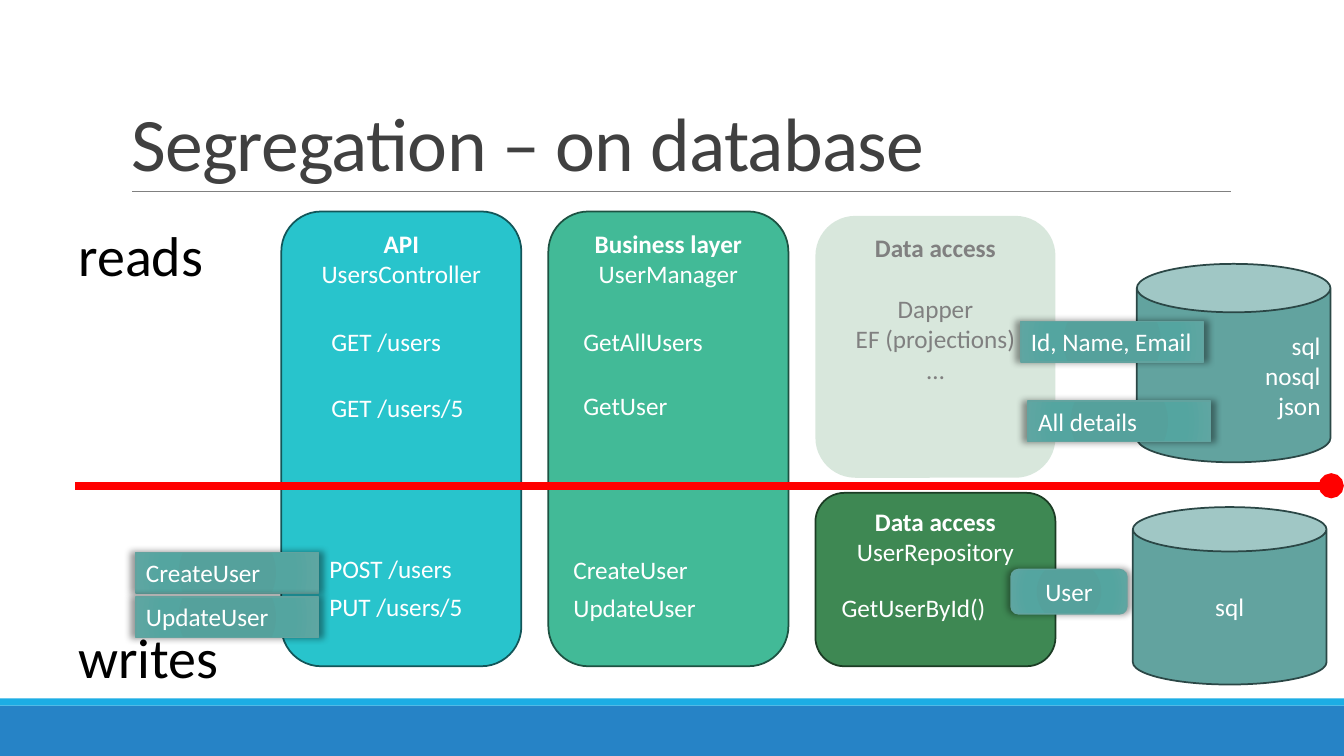
from pptx import Presentation
from pptx.dml.color import RGBColor
from pptx.enum.shapes import MSO_CONNECTOR, MSO_SHAPE
from pptx.enum.text import MSO_ANCHOR, MSO_AUTO_SIZE, PP_ALIGN
from pptx.oxml import parse_xml
from pptx.oxml.ns import nsdecls
from pptx.util import Cm, Pt

FONT = "Calibri"
WHITE, GREY, TEAL = "FFFFFF", "808080", "62A39F"
COL_LEFT, COL_STEP, COL_WIDTH = 7.09, 6.73, 6.05
GRADIENT = [(0, "52A19C"), (34, "55A19C"), (70, "54A5A0"), (100, "5FA6A2")]


def rgb(value):
    return RGBColor.from_string(value)


def box(left, top, width, height):
    return Cm(left), Cm(top), Cm(width), Cm(height)


def set_font(font, color, size=18, **extra):
    for name, value in {"name": FONT, "size": Pt(size), **extra}.items():
        setattr(font, name, value)
    font.color.rgb = rgb(color)


def write(sp, lines, color=WHITE, size=18, align=PP_ALIGN.LEFT,
          anchor=MSO_ANCHOR.TOP, grow=False, heading=False):
    tf = sp.text_frame
    tf.word_wrap = True
    tf.vertical_anchor = anchor
    tf.auto_size = MSO_AUTO_SIZE.SHAPE_TO_FIT_TEXT if grow else MSO_AUTO_SIZE.NONE
    for i, line in enumerate(lines):
        p = tf.add_paragraph() if i else tf.paragraphs[0]
        p.alignment = align
        r = p.add_run()
        r.text = line
        set_font(r.font, color, size, bold=heading and i == 0)
    return tf


def add_shape(s, kind, at, fill=None, line=None, weight=1.25):
    sp = s.shapes.add_shape(kind, *box(*at))
    sp.shadow.inherit = False
    if fill:
        sp.fill.solid()
        sp.fill.fore_color.rgb = rgb(fill)
    if line:
        sp.line.color.rgb = rgb(line)
        sp.line.width = Pt(weight)
    else:
        sp.line.fill.background()
    return sp


def add_rule(s, x1, x2, y, color, weight, dot=False):
    ln = s.shapes.add_connector(MSO_CONNECTOR.STRAIGHT, Cm(x1), Cm(y), Cm(x2), Cm(y))
    ln.line.color.rgb = rgb(color)
    ln.line.width = Pt(weight)
    if dot:
        ln.line._get_or_add_ln().append(
            parse_xml(f'<a:tailEnd {nsdecls("a")} type="oval"/>'))
    ln._element.spPr.append(parse_xml(f'<a:effectLst {nsdecls("a")}/>'))


def add_layer(s, column, top, height, fill, line, lines, color=WHITE):
    at = (COL_LEFT + column * COL_STEP, top, COL_WIDTH, height)
    sp = add_shape(s, MSO_SHAPE.ROUNDED_RECTANGLE, at, fill, line)
    write(sp, lines, color, align=PP_ALIGN.CENTER, heading=True)
    return sp


def add_text(s, left, top, text, color=WHITE, size=18, width=4.8, height=1.02):
    sp = s.shapes.add_textbox(*box(left, top, width, height))
    write(sp, [text], color, size, grow=True)


def add_can(s, at, lines, align):
    sp = add_shape(s, MSO_SHAPE.CAN, at, TEAL, "2B4746")
    write(sp, lines, align=align, anchor=MSO_ANCHOR.MIDDLE)


def add_message(s, kind, at, text, **fmt):
    """A glossy label with a radial gradient and a soft shadow."""
    sp = add_shape(s, kind, at, line=TEAL, weight=1)
    stops = "".join(f'<a:gs pos="{pos * 1000}"><a:srgbClr val="{c}"/></a:gs>'
                    for pos, c in GRADIENT)
    spPr = sp._element.spPr
    spPr.prstGeom.addnext(parse_xml(
        f'<a:gradFill {nsdecls("a")} rotWithShape="1"><a:gsLst>{stops}</a:gsLst>'
        '<a:path path="circle"><a:fillToRect l="100000" t="100000" r="100000" '
        'b="100000"/></a:path></a:gradFill>'))
    spPr[-1].append(parse_xml(
        f'<a:outerShdw {nsdecls("a")} blurRad="63500" dist="0" dir="0" sx="105000" '
        'sy="102000" algn="ctr" rotWithShape="0"><a:srgbClr val="000000">'
        '<a:alpha val="40000"/></a:srgbClr></a:outerShdw>'))
    write(sp, [text], **fmt)


def add_title(s, text):
    title = s.shapes.title
    title.left, title.top, title.width, title.height = box(3.05, 0.79, 27.94, 4.04)
    tf = write(title, [text], "404040", 54, anchor=MSO_ANCHOR.BOTTOM)
    p = tf.paragraphs[0]
    p.line_spacing = 0.85
    p.runs[0]._r.get_or_add_rPr().set("spc", "-50")


def main():
    prs = Presentation()
    prs.slide_width, prs.slide_height = Cm(33.87), Cm(19.05)
    s = prs.slides.add_slide(prs.slide_layouts[5])

    # Footer bands, title and its rule
    add_shape(s, MSO_SHAPE.RECTANGLE, (0, 17.78, 33.87, 1.27), "2683C6")
    add_shape(s, MSO_SHAPE.RECTANGLE, (0, 17.6, 33.87, 0.18), "1CADE4")
    add_rule(s, 3.33, 31.01, 4.83, GREY, 0.5)
    add_title(s, "Segregation – on database")

    # Layers
    reader = add_layer(s, 2, 5.44, 6.6, "3E8853", None,
                       ["Data access", "Dapper", "EF (projections)", "…"], GREY)
    reader.text_frame.paragraphs[1].space_before = Pt(22)
    reader._element.spPr.find(".//{*}solidFill/{*}srgbClr").append(
        parse_xml(f'<a:alpha {nsdecls("a")} val="20000"/>'))
    add_layer(s, 0, 5.33, 11.46, "28C4CC", "125659", ["API", "UsersController"])
    add_layer(s, 1, 5.33, 11.46, "42BA97", "1D5242", ["Business layer", "UserManager"])
    add_layer(s, 2, 12.42, 4.37, "3E8853", "1B3C24", ["Data access", "UserRepository"])

    # Read store and the divide between reads and writes
    add_can(s, (28.65, 6.65, 4.88, 5), ["sql", "nosql", "json"], PP_ALIGN.RIGHT)
    add_rule(s, 1.9, 33.55, 12.24, "FF0000", 6, dot=True)

    # Operations in each layer
    for left, top, text in [
        (8.1, 8.1, "GET /users"), (8.1, 9.75, "GET /users/5"),
        (8.05, 13.82, "POST /users"), (8.05, 14.78, "PUT /users/5"),
        (14.45, 8.1, "GetAllUsers"), (14.45, 9.7, "GetUser"),
        (14.2, 13.84, "CreateUser"), (14.2, 14.81, "UpdateUser"),
        (20.96, 14.81, "GetUserById()"),
    ]:
        add_text(s, left, top, text)
    for top, text in [(5.44, "reads"), (15.57, "writes")]:
        add_text(s, 1.73, top, text, "000000", 40, height=1.96)

    # Messages passed between the layers
    add_message(s, MSO_SHAPE.ROUNDED_RECTANGLE, (25.48, 14.35, 2.92, 1.12), "User",
                align=PP_ALIGN.CENTER, anchor=MSO_ANCHOR.MIDDLE)
    for left, top, text in [
        (3.43, 13.92, "CreateUser"), (3.43, 15.04, "UpdateUser"),
        (25.73, 8.1, "Id, Name, Email"), (25.91, 10.11, "All details"),
    ]:
        add_message(s, MSO_SHAPE.RECTANGLE, (left, top, 4.6, 1.02), text, grow=True)

    # Write store
    add_can(s, (28.55, 12.78, 4.88, 4.47), ["sql"], PP_ALIGN.CENTER)

    prs.save("out.pptx")


if __name__ == "__main__":
    main()
